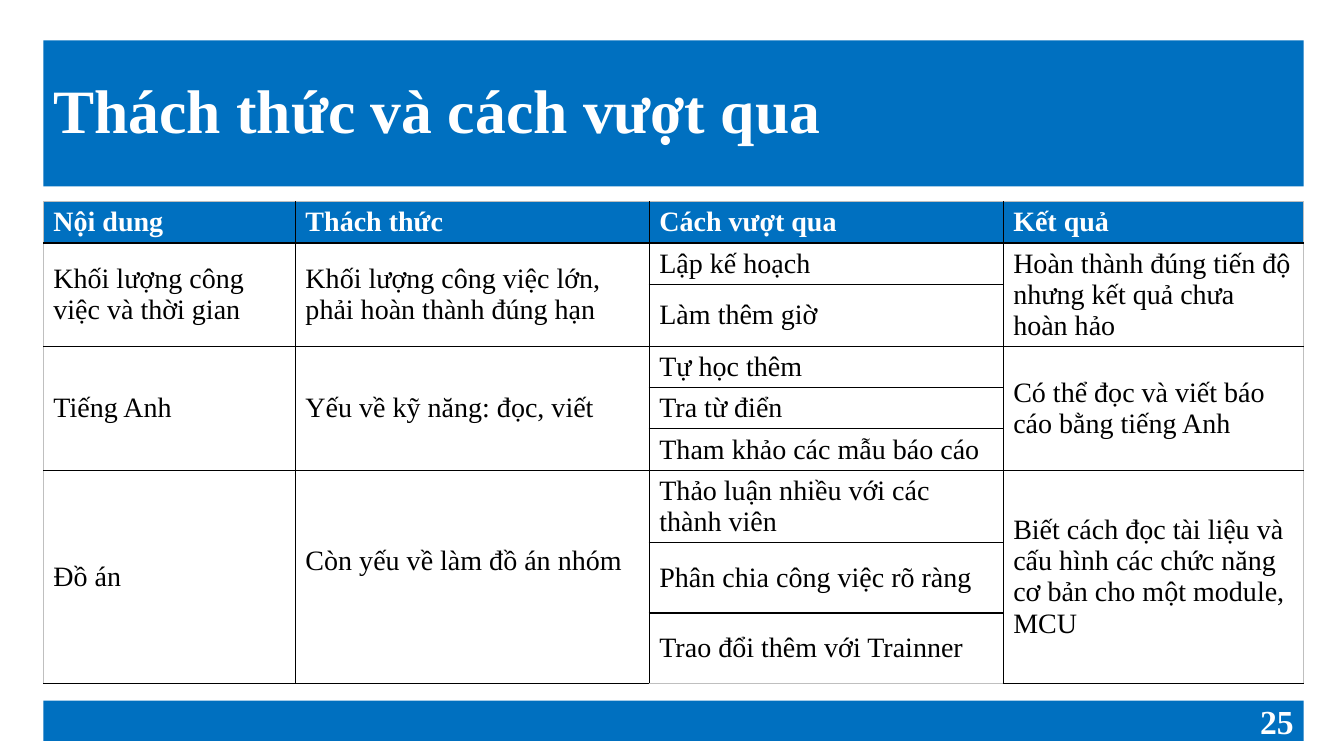
from lxml.etree import SubElement
from pptx import Presentation
from pptx.dml.color import RGBColor
from pptx.enum.shapes import MSO_SHAPE as Shape
from pptx.enum.text import MSO_ANCHOR as Anchor, MSO_AUTO_SIZE as AutoSize, PP_ALIGN as Align
from pptx.oxml.ns import qn
from pptx.util import Inches, Pt

LEFT, WIDTH = 0.43, 12.5
COLUMNS = [2.5, 3.51, 3.51, 2.98]
HEADERS = ["Nội dung", "Thách thức", "Cách vượt qua", "Kết quả"]
ROW_HEIGHTS = [0.41, 0.41, 0.61, 0.41, 0.41, 0.41, 0.7, 0.7, 0.7]
CHALLENGES = [
    ("Khối lượng công việc và thời gian",
     "Khối lượng công việc lớn, phải hoàn thành đúng hạn",
     ["Lập kế hoạch", "Làm thêm giờ"],
     "Hoàn thành đúng tiến độ nhưng kết quả chưa hoàn hảo"),
    ("Tiếng Anh",
     "Yếu về kỹ năng: đọc, viết",
     ["Tự học thêm", "Tra từ điển", "Tham khảo các mẫu báo cáo"],
     "Có thể đọc và viết báo cáo bằng tiếng Anh"),
    ("Đồ án",
     "Còn yếu về làm đồ án nhóm",
     ["Thảo luận nhiều với các thành viên", "Phân chia công việc rõ ràng",
      "Trao đổi thêm với Trainner"],
     "Biết cách đọc tài liệu và cấu hình các chức năng cơ bản cho một module, MCU"),
]


def color(value):
    return RGBColor.from_string(value)


class SlideBuilder:
    font = "Times New Roman"
    blue, white, black, grey = "0070C0", "FFFFFF", "000000", "BFBFBF"

    def __init__(self, presentation):
        self.slide = presentation.slides.add_slide(presentation.slide_layouts[5])

    def fill(self, target, value):
        target.fill.solid()
        target.fill.fore_color.rgb = color(value)

    def set_text(self, text_frame, text, size, value, bold, align=Align.LEFT):
        text_frame.text = text
        paragraph = text_frame.paragraphs[0]
        paragraph.alignment = align
        font = paragraph.runs[0].font
        font.name, font.size, font.bold = self.font, Pt(size), bold
        font.color.rgb = color(value)
        return paragraph

    def title(self, text, top, height):
        shape = self.slide.shapes.title
        shape.left, shape.top = Inches(LEFT), Inches(top)
        shape.width, shape.height = Inches(WIDTH), Inches(height)
        self.fill(shape, self.blue)
        shape.text_frame.auto_size = AutoSize.NONE
        shape.text_frame.vertical_anchor = Anchor.MIDDLE
        paragraph = self.set_text(shape.text_frame, text, 44, self.white, True)
        paragraph.line_spacing = 0.9

    def footer(self, text, top, height):
        shape = self.slide.shapes.add_shape(
            Shape.RECTANGLE, Inches(LEFT), Inches(top), Inches(WIDTH), Inches(height))
        shape.shadow.inherit = False
        self.fill(shape, self.blue)
        shape.line.fill.background()
        shape.text_frame.vertical_anchor = Anchor.MIDDLE
        self.set_text(shape.text_frame, text, 24, self.white, True, Align.RIGHT)

    def borders(self, cell, outer_sides):
        properties = cell._tc.get_or_add_tcPr()
        for index, side in enumerate("LRTB"):
            outer = side in outer_sides
            line = SubElement(properties, qn(f"a:ln{side}"), w=str(Pt(0.5 if outer else 1)))
            fill = SubElement(line, qn("a:solidFill"))
            SubElement(fill, qn("a:srgbClr"), val=self.grey if outer else self.black)
            properties.insert(index, line)

    def table(self, top):
        rows, columns = len(ROW_HEIGHTS), len(COLUMNS)
        table = self.slide.shapes.add_table(
            rows, columns, Inches(LEFT), Inches(top),
            Inches(WIDTH), Inches(sum(ROW_HEIGHTS))).table
        for column, width in zip(table.columns, COLUMNS):
            column.width = Inches(width)
        for row, height in zip(table.rows, ROW_HEIGHTS):
            row.height = Inches(height)
        for r in range(rows):
            for c in range(columns):
                cell = table.cell(r, c)
                self.fill(cell, self.white if r else self.blue)
                edges = {"L": c == 0, "R": c == columns - 1, "T": r == 0, "B": r == rows - 1}
                self.borders(cell, [side for side, outer in edges.items() if outer])
        for c, header in enumerate(HEADERS):
            self.set_text(table.cell(0, c).text_frame, header, 20, self.white, True)
        first = 1
        for topic, challenge, solutions, result in CHALLENGES:
            last = first + len(solutions) - 1
            for c, text in ((0, topic), (1, challenge), (3, result)):
                table.cell(first, c).merge(table.cell(last, c))
                self.body_cell(table.cell(first, c), text)
            for r, solution in enumerate(solutions, first):
                self.body_cell(table.cell(r, 2), solution)
            first = last + 1
        table.cell(rows - len(CHALLENGES[-1][2]), 1).margin_bottom = Inches(0.36)

    def body_cell(self, cell, text):
        cell.vertical_anchor = Anchor.MIDDLE
        self.set_text(cell.text_frame, text, 20, self.black, False)


def main():
    presentation = Presentation()
    presentation.slide_width, presentation.slide_height = Inches(13.33), Inches(7.5)
    builder = SlideBuilder(presentation)
    builder.title("Thách thức và cách vượt qua", 0.4, 1.45)
    builder.table(2)
    builder.footer("25", 6.95, 0.4)
    presentation.save("out.pptx")


if __name__ == "__main__":
    main()
